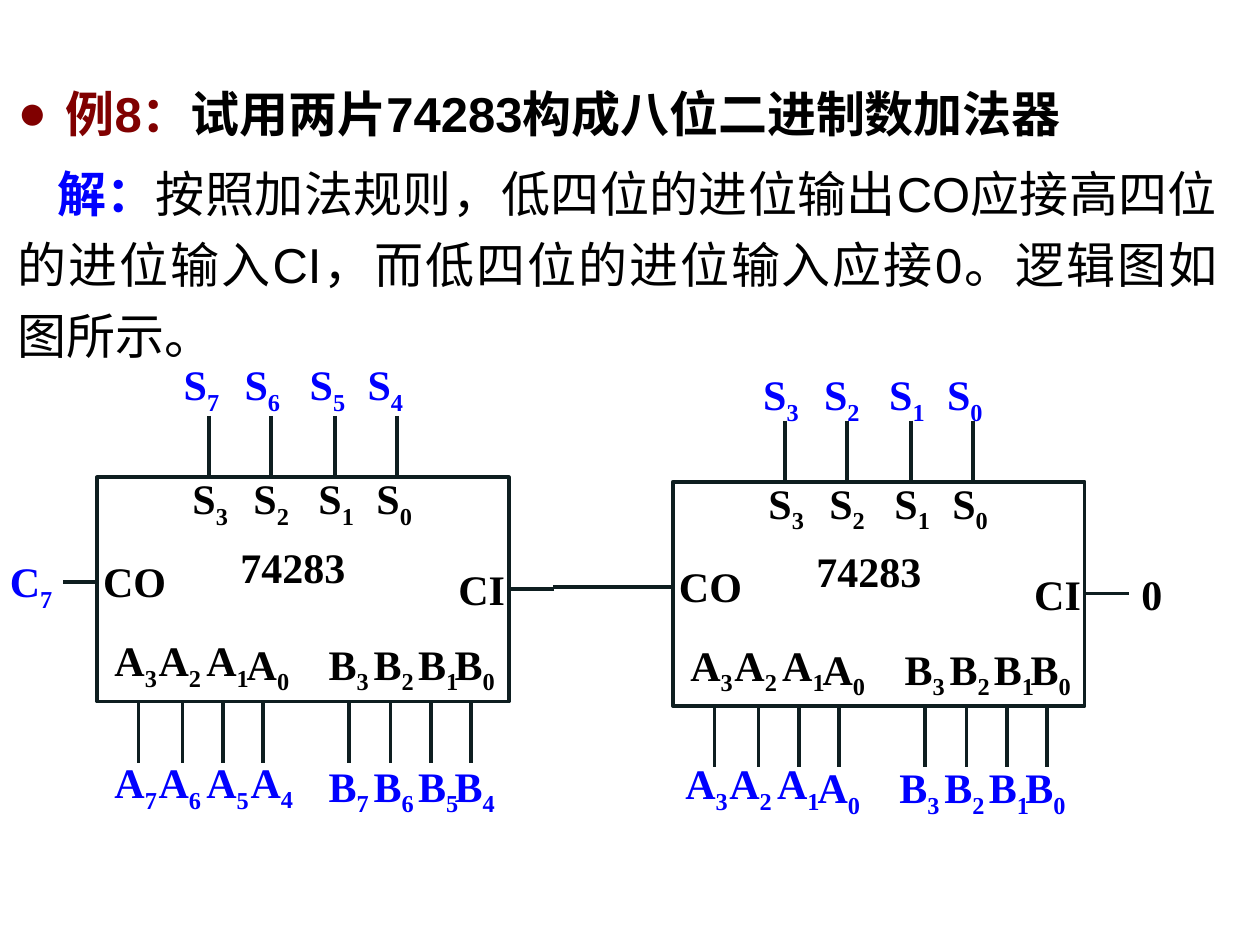
from lxml import etree
from pptx import Presentation
from pptx.dml.color import RGBColor
from pptx.enum.lang import MSO_LANGUAGE_ID
from pptx.enum.shapes import MSO_CONNECTOR, MSO_SHAPE
from pptx.enum.text import MSO_ANCHOR, MSO_AUTO_SIZE, PP_ALIGN
from pptx.oxml.ns import qn
from pptx.util import Pt

STRAIGHT = MSO_CONNECTOR.STRAIGHT
RECTANGLE = MSO_SHAPE.RECTANGLE
TOP = MSO_ANCHOR.TOP
FIXED_SIZE = MSO_AUTO_SIZE.NONE
JUSTIFY = PP_ALIGN.JUSTIFY
CHINESE = MSO_LANGUAGE_ID.SIMPLIFIED_CHINESE

BLACK, BLUE, MAROON, INK = "000000", "0000FF", "800000", "0E1E20"
LABEL_FORMAT = {"name": "Times New Roman", "size": Pt(24), "bold": True}
BODY_FORMAT = {"name": "Arial", "size": Pt(28), "language_id": CHINESE}

# Left edge and top of each pin label, relative to the chip
PIN_LABELS = {
    "S3": (47.5, -6), "S2": (82.3, -6), "S1": (119.5, -6), "S0": (152.6, -6),
    "A3": (2.9, 86.5), "A2": (28.1, 86.5), "A1": (55.4, 86.5), "A0": (78.5, 88.6),
    "B3": (125.3, 88.6), "B2": (151, 88.6), "B1": (176.4, 88.6), "B0": (197.3, 88.6),
}
TOP_PINS = (64.1, 99.4, 136.1, 171.4)
BOTTOM_PINS = (23.8, 49, 72, 95, 144, 167.8, 190.8, 213.8)
PIN_LENGTH = 35
CHIP_WIDTH, CHIP_HEIGHT = 235.4, 128.2


def color(hex_string):
    return RGBColor.from_string(hex_string)


def add_run(paragraph, text, hex_string, formats):
    run = paragraph.add_run()
    run.text = text
    for name, value in formats.items():
        setattr(run.font, name, value)
    run.font.color.rgb = color(hex_string)
    return run


def add_label(shapes, text, left, top, hex_string=BLACK, width=44.6):
    """Add a pin label; a digit after a letter becomes a subscript."""
    box = shapes.add_textbox(Pt(left), Pt(top), Pt(width), Pt(41))
    box.text_frame.word_wrap = True
    paragraph = box.text_frame.paragraphs[0]
    paragraph.alignment = JUSTIFY
    if text[0].isalpha() and text[1:].isdigit():
        add_run(paragraph, text[0], hex_string, LABEL_FORMAT)
        subscript = add_run(paragraph, text[1:], hex_string, LABEL_FORMAT)
        subscript.font._element.set("baseline", "-25000")
    else:
        add_run(paragraph, text, hex_string, LABEL_FORMAT)


def add_wire(shapes, x1, y1, x2, y2):
    wire = shapes.add_connector(STRAIGHT, Pt(x1), Pt(y1), Pt(x2), Pt(y2))
    wire.line.color.rgb = color(INK)
    wire.line.width = Pt(2)
    etree.SubElement(wire._element.spPr, qn("a:effectLst"))


def add_chip(slide, left, top):
    """Add one adder chip with its pins and inner labels as a group."""
    shapes = slide.shapes.add_group_shape().shapes
    right, bottom = left + CHIP_WIDTH, top + CHIP_HEIGHT
    body = shapes.add_shape(RECTANGLE, Pt(left), Pt(top), Pt(CHIP_WIDTH), Pt(CHIP_HEIGHT))
    body.shadow.inherit = False
    body.fill.background()
    body.line.color.rgb = color(INK)
    body.line.width = Pt(2)

    for x in TOP_PINS:
        add_wire(shapes, left + x, top - PIN_LENGTH, left + x, top)
    for x in BOTTOM_PINS:
        add_wire(shapes, left + x, bottom, left + x, bottom + PIN_LENGTH)
    add_wire(shapes, right, top + 64, right + 25.5, top + 64)
    add_wire(shapes, left, top + 60, left - 19.4, top + 60)

    for text, (x, y) in PIN_LABELS.items():
        add_label(shapes, text, left + x, top + y)
    add_label(shapes, "CO", left - 3.6, top + 41.2, width=54)
    add_label(shapes, "74283", left + 74.9, top + 33, width=84)
    add_label(shapes, "CI", left + 199.4, top + 46, width=52.6)


def add_signals(slide, left, top, first_bit, sum_shift, operand_shift, nudges):
    """Label the outer ends of the pins, numbering bits from first_bit."""
    for pin, (x, y) in PIN_LABELS.items():
        signal = f"{pin[0]}{int(pin[1]) + first_bit}"
        shift_x, shift_y = sum_shift if pin[0] == "S" else operand_shift
        nudge_x, nudge_y = nudges.get(signal, (0, 0))
        add_label(slide.shapes, signal, left + x + shift_x + nudge_x,
                  top + y + shift_y + nudge_y, BLUE)


def fill_body(placeholder, left, top, width, height):
    placeholder.left, placeholder.top = Pt(left), Pt(top)
    placeholder.width, placeholder.height = Pt(width), Pt(height)
    frame = placeholder.text_frame
    frame.word_wrap = True
    frame.auto_size = FIXED_SIZE
    frame.vertical_anchor = TOP
    paragraphs = (
        (27.4, -27.4, "●", 0, (("例8：", MAROON, True),
                               ("试用两片74283构成八位二进制数加法器", BLACK, True))),
        (0, 22.5, None, 5.6, (("解：", BLUE, True),
                              ("按照加法规则，低四位的进位输出CO应接高四位的进位输入CI，"
                               "而低四位的进位输入应接0。逻辑图如图所示。", BLACK, False))),
    )
    for index, (margin, indent, bullet, space, runs) in enumerate(paragraphs):
        paragraph = frame.add_paragraph() if index else frame.paragraphs[0]
        properties = paragraph._p.get_or_add_pPr()
        properties.set("marL", str(Pt(margin)))
        properties.set("indent", str(Pt(indent)))
        if bullet:
            etree.SubElement(properties, qn("a:buChar"), char=bullet)
        else:
            etree.SubElement(properties, qn("a:buNone"))
        paragraph.alignment = JUSTIFY
        paragraph.line_spacing = 1.2
        paragraph.space_before = Pt(space)
        for text, hex_string, bold in runs:
            add_run(paragraph, text, hex_string, {**BODY_FORMAT, "bold": bold})


def main():
    presentation = Presentation()
    presentation.slide_width, presentation.slide_height = Pt(720), Pt(540)
    slide = presentation.slides.add_slide(presentation.slide_layouts[1])
    title = slide.shapes.title._element
    title.getparent().remove(title)
    fill_body(slide.placeholders[1], 2.9, 37.4, 699.8, 325.4)

    high_chip, low_chip = (55.4, 272.7), (384.5, 275.3)
    for chip in (high_chip, low_chip):
        add_chip(slide, *chip)
    add_wire(slide.shapes, 316.1, 335.5, 368.6, 335.5)

    add_signals(slide, *high_chip, 4, (-5, -65.2), (0, 69.6), {"A4": (2.2, -2.2)})
    add_signals(slide, *low_chip, 0, (-3, -62), (-2.9, 67.8), {})
    add_label(slide.shapes, "C7", -1.4, 313.9, BLUE, width=50.4)
    add_label(slide.shapes, "0", 645.1, 321.1)
    presentation.save("out.pptx")


if __name__ == "__main__":
    main()
